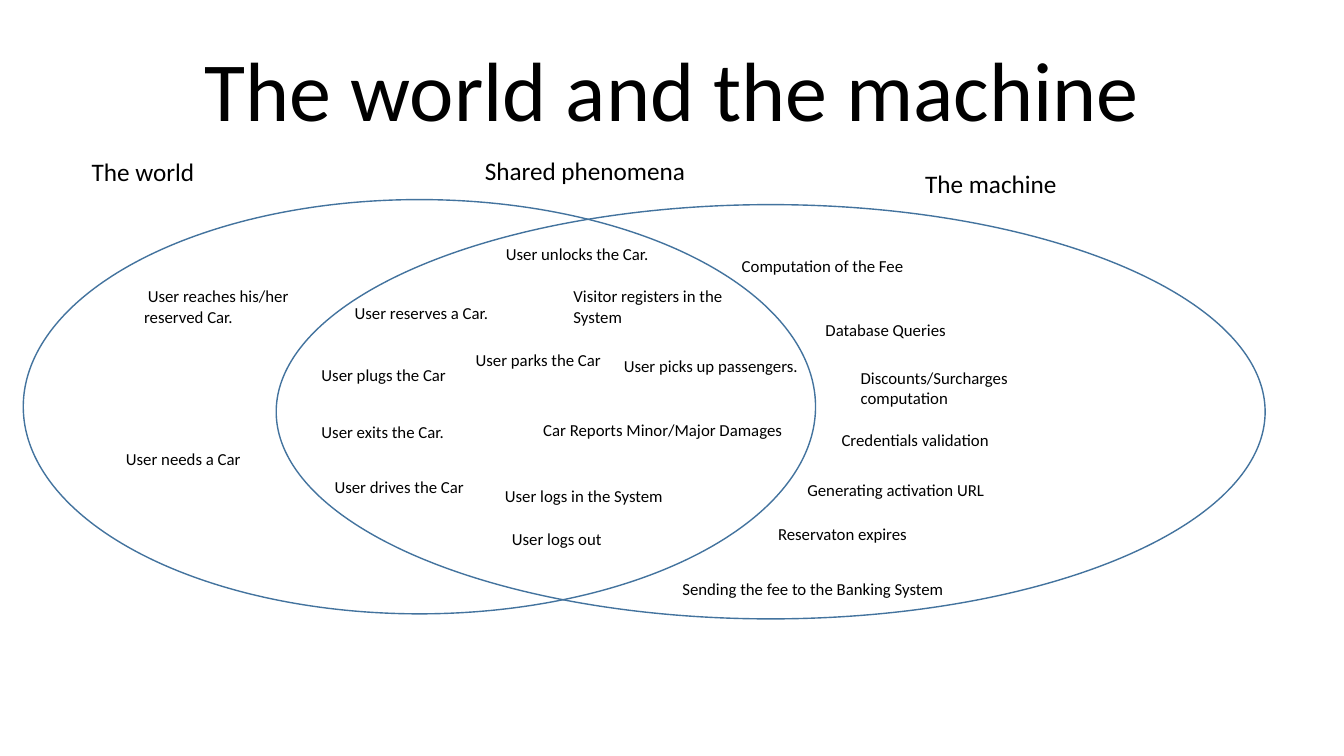
from dataclasses import dataclass

from pptx import Presentation
from pptx.dml.color import RGBColor
from pptx.enum.shapes import MSO_SHAPE
from pptx.enum.text import MSO_ANCHOR, MSO_AUTO_SIZE, PP_ALIGN
from pptx.util import Inches, Pt

ELLIPSE = MSO_SHAPE.OVAL
BOTTOM = MSO_ANCHOR.BOTTOM
CENTER = PP_ALIGN.CENTER
GROW = MSO_AUTO_SIZE.SHAPE_TO_FIT_TEXT

FONT = "Calibri"
INK = "000000"
OUTLINE = "43739E"
HEADING_SIZE = 18
ONE_LINE, TWO_LINES, THREE_LINES = 4, 6.67, 9.47
COMMON_WIDTH = 14.18

presentation = Presentation()
presentation.slide_width = Inches(13.33)
presentation.slide_height = Inches(7.5)
slide = presentation.slides.add_slide(presentation.slide_layouts[6])


# Positions and sizes are percentages of the slide's width and height
@dataclass
class Region:
    left: float
    top: float
    width: float
    height: float


@dataclass
class Label:
    text: str
    left: float
    top: float
    width: float = COMMON_WIDTH
    height: float = ONE_LINE
    size: int = 12
    wrap: bool = True


def color(value: str) -> RGBColor:
    return RGBColor.from_string(value)


def frame(area: Region | Label) -> tuple[int, int, int, int]:
    across = presentation.slide_width / 100
    down = presentation.slide_height / 100
    return (round(area.left * across), round(area.top * down),
            round(area.width * across), round(area.height * down))


def draw_region(region: Region) -> None:
    ellipse = slide.shapes.add_shape(ELLIPSE, *frame(region))
    ellipse.shadow.inherit = False
    ellipse.fill.background()
    ellipse.line.color.rgb = color(OUTLINE)
    ellipse.line.width = Pt(1)


def draw_label(label: Label):
    text_frame = slide.shapes.add_textbox(*frame(label)).text_frame
    text_frame.word_wrap = label.wrap
    text_frame.auto_size = GROW
    run = text_frame.paragraphs[0].add_run()
    run.text = label.text
    run.font.name = FONT
    run.font.size = Pt(label.size)
    run.font.color.rgb = color(INK)
    return text_frame


# Title
title = draw_label(Label("The world and the machine", 12.5, 3.87, 75, 15.2, 60))
title.auto_size = MSO_AUTO_SIZE.NONE
title.vertical_anchor = BOTTOM
title.paragraphs[0].alignment = CENTER
title.paragraphs[0].line_spacing = 0.9

# Overlapping regions: the world and the machine
WORLD = Region(1.73, 26.4, 58.95, 54.8)
MACHINE = Region(20.55, 27.07, 73.58, 54.8)
for region in (WORLD, MACHINE):
    draw_region(region)

HEADINGS = [
    Label("The world", 6.08, 20, 16.28, 5.33, HEADING_SIZE),
    Label("The machine", 68.1, 21.6, 18.75, THREE_LINES, HEADING_SIZE),
    Label("Shared phenomena", 35.33, 19.87, 17.18, 5.33, HEADING_SIZE),
]

WORLD_PHENOMENA = [
    Label(" User reaches his/her reserved Car.", 9.98, 37.2, height=TWO_LINES),
    Label("User needs a Car", 8.63, 58.67),
]

SHARED_PHENOMENA = [
    Label("User unlocks the Car.", 36.9, 31.6, 12.23, wrap=False),
    Label("Visitor registers in the System", 41.93, 37.2, height=TWO_LINES),
    Label("User reserves a Car.", 25.65, 39.33),
    Label("User parks the Car", 34.65, 45.6, 10.95, wrap=False),
    Label("User picks up passengers.", 45.68, 46.4, 16.35),
    Label("User plugs the Car", 23.18, 47.6),
    Label("Car Reports Minor/Major Damages", 39.68, 54.93, 19.5, wrap=False),
    Label("User exits the Car.", 23.18, 55.07),
    Label("User drives the Car", 24.15, 62.4, 11.25, wrap=False),
    Label("User logs in the System", 36.83, 63.6, height=THREE_LINES),
    Label("User logs out", 37.35, 69.33, 8.25, wrap=False),
]

MACHINE_PHENOMENA = [
    Label("Computation of the Fee", 54.45, 33.2),
    Label("Database Queries", 60.68, 41.6),
    Label("Discounts/Surcharges computation", 63.3, 48, height=TWO_LINES),
    Label("Credentials validation", 61.88, 56.13, height=TWO_LINES),
    Label("Generating activation URL", 59.33, 62.8, 14.85, wrap=False),
    Label("Reservaton expires", 57.15, 68.67, 11.18, wrap=False),
    Label("Sending the fee to the Banking System", 50.03, 75.87, 21.15, wrap=False),
]

# Headings and phenomena
for label in HEADINGS + WORLD_PHENOMENA + SHARED_PHENOMENA + MACHINE_PHENOMENA:
    draw_label(label)

presentation.save("out.pptx")
